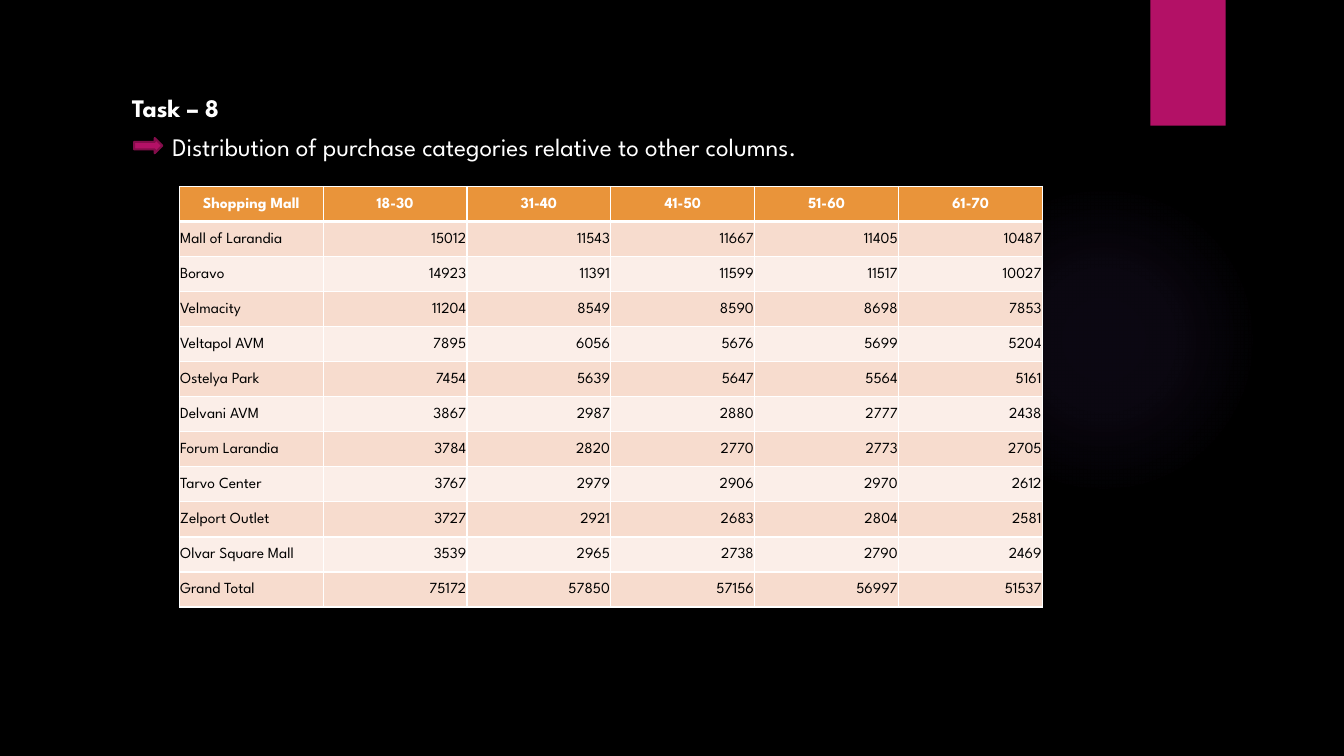
import dataclasses

import lxml.etree
import pptx
import pptx.dml.color
import pptx.enum.shapes
import pptx.enum.text
import pptx.oxml
import pptx.oxml.ns
import pptx.util
from pptx.util import Cm, Pt

Align = pptx.enum.text.PP_ALIGN
Anchor = pptx.enum.text.MSO_ANCHOR
Preset = pptx.enum.shapes.MSO_SHAPE


@dataclasses.dataclass(frozen=True)
class Theme:
    font: str = "League Spartan"
    text_size: int = 18
    table_size: int = 11
    background: str = "000000"
    light: str = "FFFFFF"
    dark: str = "000000"
    accent: str = "B31166"
    accent_line: str = "840D4B"
    glow: str = "9B6BF2"
    header: str = "E9943A"
    bands: tuple = ("F7DCCE", "FBEEE8")


THEME = Theme()

HEADINGS = ["Shopping Mall", "18-30", "31-40", "41-50", "51-60", "61-70"]
PURCHASES = [
    ["Mall of Larandia", 15012, 11543, 11667, 11405, 10487],
    ["Boravo", 14923, 11391, 11599, 11517, 10027],
    ["Velmacity", 11204, 8549, 8590, 8698, 7853],
    ["Veltapol AVM", 7895, 6056, 5676, 5699, 5204],
    ["Ostelya Park", 7454, 5639, 5647, 5564, 5161],
    ["Delvani AVM", 3867, 2987, 2880, 2777, 2438],
    ["Forum Larandia", 3784, 2820, 2770, 2773, 2705],
    ["Tarvo Center", 3767, 2979, 2906, 2970, 2612],
    ["Zelport Outlet", 3727, 2921, 2683, 2804, 2581],
    ["Olvar Square Mall", 3539, 2965, 2738, 2790, 2469],
    ["Grand Total", 75172, 57850, 57156, 56997, 51537],
]


def rgb(value):
    return pptx.dml.color.RGBColor.from_string(value)


def style_paragraph(paragraph, size, color, bold=False, align=Align.LEFT):
    paragraph.alignment = align
    paragraph.font.name = THEME.font
    paragraph.font.size = Pt(size)
    paragraph.font.bold = bold
    paragraph.font.color.rgb = rgb(color)


def fill_placeholder(shape, text, box, bold=False, wrap=True):
    shape.left, shape.top, shape.width, shape.height = box
    frame = shape.text_frame
    frame.text = text
    frame.word_wrap = wrap
    frame.auto_size = pptx.enum.text.MSO_AUTO_SIZE.SHAPE_TO_FIT_TEXT
    frame.vertical_anchor = Anchor.TOP
    paragraph = frame.paragraphs[0]
    style_paragraph(paragraph, THEME.text_size, THEME.light, bold)
    paragraph.space_before = Pt(0)
    # The arrow shape stands in for the bullet
    properties = paragraph._p.get_or_add_pPr()
    properties.set("marL", "0")
    properties.set("indent", "0")
    bullet = pptx.oxml.ns.qn("a:buNone")
    properties.insert_element_before(properties.makeelement(bullet), "a:defRPr")


def add_preset(slide, preset, box, color, line=None):
    shape = slide.shapes.add_shape(preset, *box)
    shape.shadow.inherit = False
    shape.fill.solid()
    shape.fill.fore_color.rgb = rgb(color)
    if line:
        shape.line.color.rgb = rgb(line)
        shape.line.width = Pt(1.5)
    else:
        shape.line.fill.background()
    return shape


def add_glow(slide, box):
    shape = add_preset(slide, Preset.OVAL, box, THEME.glow)
    stops = "".join(
        f'<a:gs pos="{position * 1000}"><a:srgbClr val="{THEME.glow}">'
        f'<a:alpha val="{alpha * 1000}"/></a:srgbClr></a:gs>'
        for position, alpha in [(0, 7), (36, 6), (69, 0), (100, 0)]
    )
    gradient = pptx.oxml.parse_xml(
        f'<a:gradFill {pptx.oxml.ns.nsdecls("a")}><a:gsLst>{stops}</a:gsLst>'
        '<a:path path="circle"><a:fillToRect l="50000" t="50000" r="50000" b="50000"/>'
        "</a:path></a:gradFill>"
    )
    properties = shape._element.spPr
    properties.replace(properties.find(pptx.oxml.ns.qn("a:solidFill")), gradient)


def set_borders(cell, top, bottom):
    properties = cell._tc.get_or_add_tcPr()
    widths = {"lnL": 1, "lnR": 1, "lnT": top, "lnB": bottom}
    for index, (side, width) in enumerate(widths.items()):
        border = pptx.oxml.parse_xml(
            f'<a:{side} {pptx.oxml.ns.nsdecls("a")} w="{Pt(width)}"><a:solidFill>'
            f'<a:srgbClr val="{THEME.light}"/></a:solidFill></a:{side}>'
        )
        properties.insert(index, border)


def fill_cell(cell, value, row, column):
    is_header = row == 0
    cell.text = str(value)
    cell.vertical_anchor = Anchor.MIDDLE
    cell.margin_left = cell.margin_right = cell.margin_top = Cm(0.02)
    cell.margin_bottom = Cm(0)
    align = Align.CENTER if is_header else Align.RIGHT if column else Align.LEFT
    color = THEME.light if is_header else THEME.dark
    style_paragraph(cell.text_frame.paragraphs[0], THEME.table_size, color, is_header, align)
    cell.fill.solid()
    cell.fill.fore_color.rgb = rgb(THEME.header if is_header else THEME.bands[(row - 1) % 2])
    set_borders(cell, 3 if row == 1 else 1, 3 if is_header else 1)


def add_purchase_table(slide, box):
    rows = [HEADINGS] + PURCHASES
    table = slide.shapes.add_table(len(rows), len(HEADINGS), *box).table
    for row, values in enumerate(rows):
        for column, value in enumerate(values):
            fill_cell(table.cell(row, column), value, row, column)


def main():
    presentation = pptx.Presentation()
    presentation.slide_width = Cm(33.87)
    presentation.slide_height = Cm(19.05)
    slide = presentation.slides.add_slide(presentation.slide_layouts[1])
    slide.background.fill.solid()
    slide.background.fill.fore_color.rgb = rgb(THEME.background)

    # Backdrop
    add_glow(slide, (Cm(23.9), Cm(4.65), Cm(7.82), Cm(7.82)))
    add_preset(slide, Preset.RECTANGLE, (Cm(28.99), Cm(0), Cm(1.9), Cm(3.17)), THEME.accent)

    # Heading and arrow line
    title, body = slide.placeholders
    fill_placeholder(title, "Task – 8", (Cm(3.07), Cm(2.21), Cm(2.9), Cm(1.02)),
                     bold=True, wrap=False)
    fill_placeholder(body, "Distribution of purchase categories relative to other columns.",
                     (Cm(4.09), Cm(3.17), Cm(21.36), Cm(1.02)))
    add_preset(slide, Preset.RIGHT_ARROW, (Cm(3.38), Cm(3.48), Cm(0.71), Cm(0.38)),
               THEME.accent, THEME.accent_line)

    # Purchases by mall and age group
    add_purchase_table(slide, (Cm(4.52), Cm(4.7), Cm(21.75), Cm(10.6)))

    presentation.save("out.pptx")


if __name__ == "__main__":
    main()
